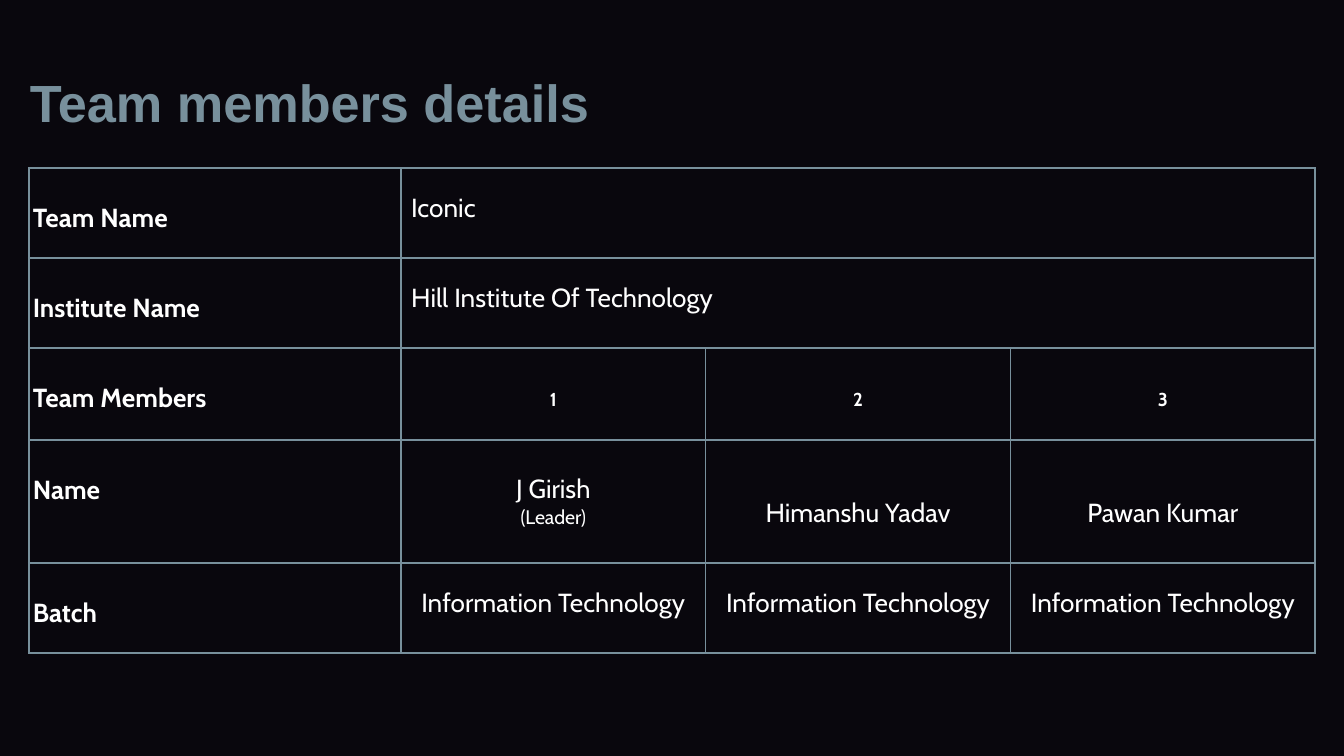
from lxml.etree import SubElement
from pptx import Presentation
from pptx.dml.color import RGBColor
from pptx.enum.text import MSO_ANCHOR, PP_ALIGN
from pptx.oxml.ns import qn
from pptx.util import Pt

COLORS = {"background": "09070D", "accent": "78909C", "text": "FFFFFF"}
COLUMN_WIDTHS = [199.4, 163.3, 163.3, 163.3]
ROW_HEIGHTS = [48.2, 48.2, 49.4, 65.9, 48.2]
BLANK_LINE = 16.8
SIDE_INSET, EDGE_INSET = 2.16, 1.44

DETAILS = [
    ("Team Name", ["Iconic"]),
    ("Institute Name", ["Hill Institute Of Technology"]),
    ("Team Members", ["1", "2", "3"]),
    ("Name", ["J Girish", "Himanshu Yadav", "Pawan Kumar"]),
    ("Batch", ["Information Technology"] * 3),
]


def write(paragraph, text, size=14, font="Cabin", color="text", bold=False,
          align=PP_ALIGN.LEFT, line_spacing=1.0):
    paragraph.alignment = align
    paragraph.line_spacing = line_spacing
    run = paragraph.add_run()
    run.text = text
    run.font.size = Pt(size)
    run.font.name = font
    run.font.bold = bold
    run.font.color.rgb = RGBColor.from_string(COLORS[color])


def format_cell(cell, anchor, left=SIDE_INSET, top=EDGE_INSET, bottom=EDGE_INSET):
    cell.vertical_anchor = anchor
    cell.margin_left, cell.margin_right = Pt(left), Pt(SIDE_INSET)
    cell.margin_top, cell.margin_bottom = Pt(top), Pt(bottom)


def outline_cell(cell):
    properties = cell._tc.get_or_add_tcPr()
    for side in ("a:lnL", "a:lnR", "a:lnT", "a:lnB"):
        border = SubElement(properties, qn(side), w=str(Pt(1)))
        fill = SubElement(border, qn("a:solidFill"))
        SubElement(fill, qn("a:srgbClr"), val=COLORS["accent"])
    cell.fill.background()


def add_title(slide, left, top, width, height):
    title = slide.shapes.title
    title.left, title.top = Pt(left), Pt(top)
    title.width, title.height = Pt(width), Pt(height)
    frame = title.text_frame
    frame.word_wrap = True
    frame.vertical_anchor = MSO_ANCHOR.TOP
    write(frame.paragraphs[0], "Team members details", size=28, font="Arial",
          color="accent", bold=True)


def add_details(slide, left, top, width, height):
    table = slide.shapes.add_table(
        len(ROW_HEIGHTS), len(COLUMN_WIDTHS),
        Pt(left), Pt(top), Pt(width), Pt(height)).table
    table.first_row = table.horz_banding = False
    for column, column_width in zip(table.columns, COLUMN_WIDTHS):
        column.width = Pt(column_width)
    for row, row_height in zip(table.rows, ROW_HEIGHTS):
        row.height = Pt(row_height)
    for cell in table.iter_cells():
        outline_cell(cell)

    for row_index, (label, values) in enumerate(DETAILS):
        label_cell = table.cell(row_index, 0)
        format_cell(label_cell, MSO_ANCHOR.TOP, top=EDGE_INSET + BLANK_LINE)
        write(label_cell.text_frame.paragraphs[0], label, bold=True)
        spans_members = len(values) == 1
        if spans_members:
            table.cell(row_index, 1).merge(table.cell(row_index, 3))
        for column_index, value in enumerate(values, start=1):
            value_cell = table.cell(row_index, column_index)
            paragraph = value_cell.text_frame.paragraphs[0]
            if spans_members:
                format_cell(value_cell, MSO_ANCHOR.BOTTOM, left=5.5,
                            bottom=EDGE_INSET + BLANK_LINE)
                write(paragraph, value)
            elif label == "Team Members":
                format_cell(value_cell, MSO_ANCHOR.BOTTOM, bottom=15.2)
                write(paragraph, value, size=10, bold=True,
                      align=PP_ALIGN.CENTER, line_spacing=1.15)
            else:
                format_cell(value_cell, MSO_ANCHOR.BOTTOM,
                            bottom=EDGE_INSET + BLANK_LINE)
                write(paragraph, value, align=PP_ALIGN.CENTER)

    leader_frame = table.cell(3, 1).text_frame
    write(leader_frame.add_paragraph(), "(Leader)", size=10.5,
          align=PP_ALIGN.CENTER)


def main():
    presentation = Presentation()
    presentation.slide_width, presentation.slide_height = Pt(720), Pt(405)
    slide = presentation.slides.add_slide(presentation.slide_layouts[5])
    background = slide.background.fill
    background.solid()
    background.fore_color.rgb = RGBColor.from_string(COLORS["background"])
    add_title(slide, 8.8, 34, 423, 41)
    add_details(slide, 15.4, 90, sum(COLUMN_WIDTHS), sum(ROW_HEIGHTS))
    presentation.save("out.pptx")


if __name__ == "__main__":
    main()
